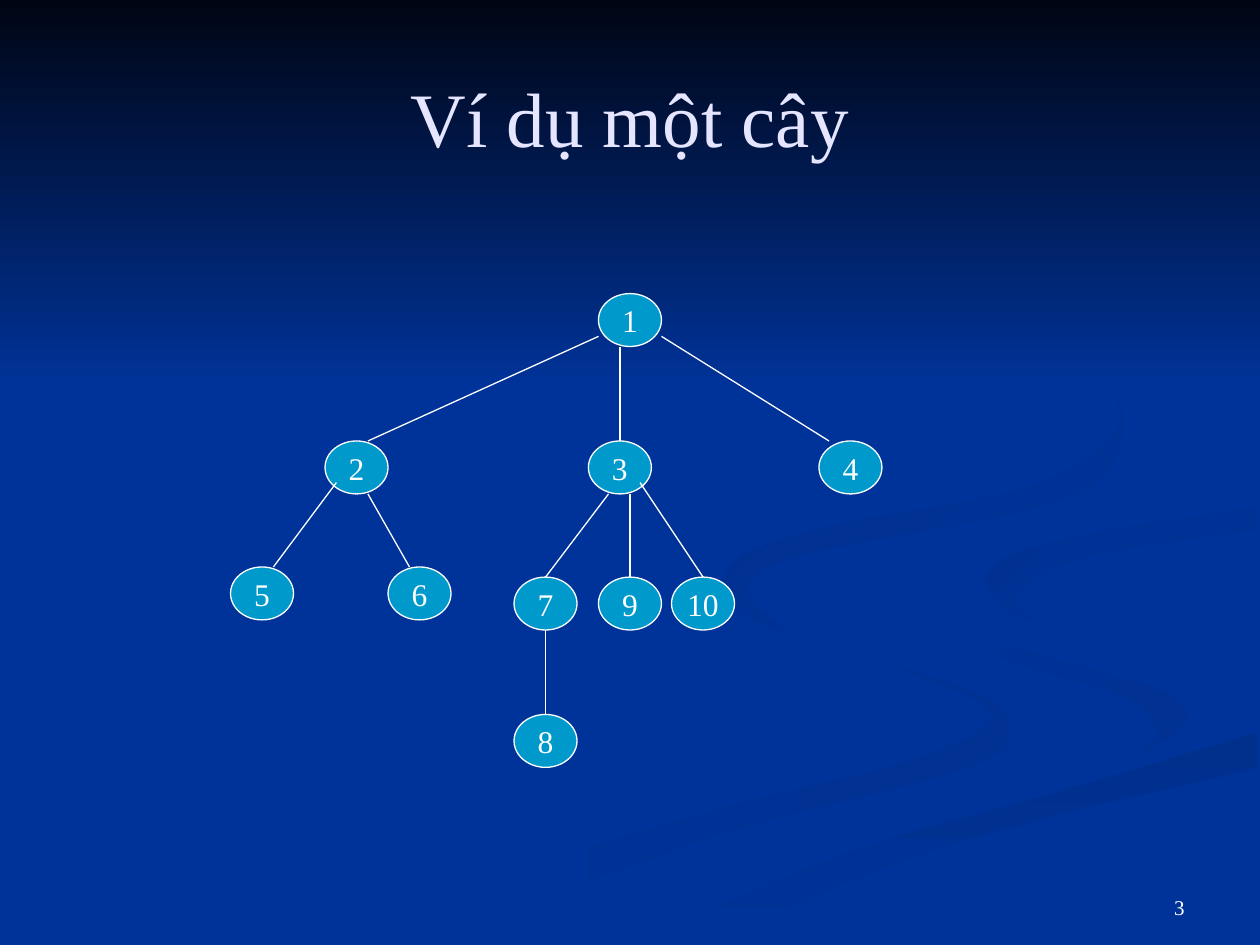
from dataclasses import dataclass

from lxml import etree
from pptx import Presentation
from pptx.dml.color import RGBColor
from pptx.enum.shapes import MSO_CONNECTOR, MSO_SHAPE
from pptx.enum.text import MSO_ANCHOR, PP_ALIGN
from pptx.oxml.ns import qn
from pptx.util import Inches, Pt

OVAL, RECTANGLE = MSO_SHAPE.OVAL, MSO_SHAPE.RECTANGLE
STRAIGHT = MSO_CONNECTOR.STRAIGHT
MIDDLE, BOTTOM = MSO_ANCHOR.MIDDLE, MSO_ANCHOR.BOTTOM
CENTER, RIGHT = PP_ALIGN.CENTER, PP_ALIGN.RIGHT
TOP_SITE = 0


@dataclass(frozen=True)
class Theme:
    font: str = "Times New Roman"
    background: str = "003399"
    night: str = "000514"
    title: str = "E5E5FF"
    white: str = "FFFFFF"
    node: str = "0099CC"
    title_size: int = 44
    node_size: int = 18
    number_size: int = 12
    line_width: float = 0.75


@dataclass(frozen=True)
class Ribbon:
    """Smooth sides in hundredths of an inch, meeting at corners."""
    start: str
    end: str
    angle: int
    sides: tuple


@dataclass(frozen=True)
class Node:
    center: float
    top: float


@dataclass(frozen=True)
class Edge:
    """Offsets run from the top centre of the parent and of the child."""
    parent: int
    child: int
    start_x: float
    start_y: float
    end_x: float = 0


THEME = Theme()
NODE_WIDTH, NODE_HEIGHT = 0.5, 0.42
CURVE_STEPS = 6

RIBBONS = [
    Ribbon("003399", "003193", 0, (
        ((575, 459), (614, 496), (682, 519), (781, 553), (800, 581), (769, 609),
         (594, 656), (431, 714), (361, 749)),
        ((300, 749), (417, 690), (579, 639), (727, 602), (786, 566), (697, 525),
         (611, 499), (570, 472), (575, 459)))),
    Ribbon("003399", "003193", 45, (
        ((724, 464), (745, 490), (811, 515), (905, 540), (943, 570), (894, 605)),
        ((894, 605), (918, 581), (892, 553), (815, 530), (746, 500), (724, 464)))),
    Ribbon("002F8C", "003399", 90, (
        ((571, 749), (649, 710), (785, 661), (998, 609)),
        ((998, 581), (867, 620), (696, 669), (599, 706), (503, 749)))),
    Ribbon("003399", "003399", 0, (
        ((999, 387), (874, 408), (755, 432), (725, 464), (745, 490), (812, 515),
         (920, 547), (943, 570), (911, 600), (743, 643), (619, 684), (477, 749)),
        ((503, 749), (599, 706), (696, 669), (868, 620), (999, 581)),
        ((999, 538), (904, 519), (817, 492), (781, 463), (800, 442), (865, 424),
         (999, 402)))),
    Ribbon("003091", "003399", 45, (
        ((781, 460), (797, 483), (826, 496)),
        ((826, 496), (805, 474), (843, 448), (896, 435), (998, 420)),
        ((998, 402), (865, 424), (799, 442), (781, 460)))),
    Ribbon("002F8E", "003399", 45, (
        ((762, 233), (843, 275), (890, 324), (876, 378), (807, 407), (683, 430),
         (614, 448), (593, 470), (622, 500)),
        ((622, 500), (580, 474), (589, 441), (676, 414), (818, 386), (889, 335),
         (846, 279), (762, 233)))),
]

NODES = {
    1: Node(5, 2.33),
    2: Node(2.83, 3.5), 3: Node(4.92, 3.5), 4: Node(6.75, 3.5),
    5: Node(2.08, 4.5), 6: Node(3.33, 4.5),
    7: Node(4.33, 4.58), 9: Node(5, 4.58), 10: Node(5.58, 4.58),
    8: Node(4.33, 5.67),
}

EDGES = [
    Edge(1, 2, -0.25, 0.34, 0.09), Edge(1, 3, -0.08, 0.42), Edge(1, 4, 0.25, 0.34, -0.17),
    Edge(2, 5, -0.16, 0.33, 0.09), Edge(2, 6, 0.09, 0.42, -0.08),
    Edge(3, 7, -0.09, 0.42), Edge(3, 9, 0.08, 0.42), Edge(3, 10, 0.16, 0.33),
    Edge(7, 8, 0, 0.42),
]


def rgb(value: str) -> RGBColor:
    return RGBColor.from_string(value)


def smooth(side: tuple) -> list:
    """Sample a Catmull-Rom curve through the points of one side."""
    padded = (side[0], *side, side[-1])
    samples = []
    for before, first, second, after in zip(padded, padded[1:], padded[2:], padded[3:]):
        for step in range(CURVE_STEPS):
            t = step / CURVE_STEPS
            samples.append(tuple(
                b + (c - a) * t / 2 + (2 * a - 5 * b + 4 * c - d) * t ** 2 / 2
                + (3 * b - a - 3 * c + d) * t ** 3 / 2
                for a, b, c, d in zip(before, first, second, after)))
    return samples + [side[-1]]


def paint_gradient(shape, start: str, end: str, angle: int) -> None:
    """Fill a shape with a gradient; the angle turns clockwise."""
    shape.shadow.inherit = False
    shape.line.fill.background()
    shape.fill.gradient()
    shape.fill.gradient_angle = (360 - angle) % 360
    for stop, color, position in zip(shape.fill.gradient_stops, (start, end), (0, 1)):
        stop.color.rgb = rgb(color)
        stop.position = position


def draw_ribbon(page, ribbon: Ribbon) -> None:
    outline = [point for side in ribbon.sides for point in smooth(side)]
    builder = page.shapes.build_freeform(*outline[0], scale=Inches(0.01))
    builder.add_line_segments(outline[1:], close=True)
    paint_gradient(builder.convert_to_shape(), ribbon.start, ribbon.end, ribbon.angle)


def write_text(shape, text: str, size: int, color: str, align, anchor, wrap: bool) -> None:
    frame = shape.text_frame
    frame.word_wrap = wrap
    frame.vertical_anchor = anchor
    para = frame.paragraphs[0]
    para.text = text
    para.alignment = align
    para.font.name = THEME.font
    para.font.size = Pt(size)
    para.font.color.rgb = rgb(color)


def draw_node(page, label: int, node: Node):
    oval = page.shapes.add_shape(OVAL, Inches(node.center - NODE_WIDTH / 2), Inches(node.top),
                                 Inches(NODE_WIDTH), Inches(NODE_HEIGHT))
    oval.shadow.inherit = False
    oval.fill.solid()
    oval.fill.fore_color.rgb = rgb(THEME.node)
    oval.line.color.rgb = rgb(THEME.white)
    oval.line.width = Pt(THEME.line_width)
    write_text(oval, str(label), THEME.node_size, THEME.white, CENTER, MIDDLE, False)
    return oval


def draw_edge(page, edge: Edge, ovals: dict) -> None:
    parent, child = NODES[edge.parent], NODES[edge.child]
    line = page.shapes.add_connector(
        STRAIGHT, Inches(parent.center + edge.start_x), Inches(parent.top + edge.start_y),
        Inches(child.center + edge.end_x), Inches(child.top))
    if edge.end_x == 0:
        line.end_connect(ovals[edge.child], TOP_SITE)
    line.line.color.rgb = rgb(THEME.white)
    line.line.width = Pt(THEME.line_width)
    etree.SubElement(line._element.spPr, qn("a:effectLst"))


def main() -> None:
    deck = Presentation()
    deck.slide_width, deck.slide_height = Inches(10), Inches(7.5)
    page = deck.slides.add_slide(deck.slide_layouts[6])

    # Background with ribbons and a dark sky
    page.background.fill.solid()
    page.background.fill.fore_color.rgb = rgb(THEME.background)
    for ribbon in RIBBONS:
        draw_ribbon(page, ribbon)
    sky = page.shapes.add_shape(RECTANGLE, 0, 0, deck.slide_width, Inches(3.08))
    paint_gradient(sky, THEME.night, THEME.background, 90)

    # Page number and title
    number = page.shapes.add_textbox(Inches(7.17), Inches(6.83), Inches(2.33), Inches(0.52))
    write_text(number, "3", THEME.number_size, THEME.white, RIGHT, BOTTOM, True)
    title = page.shapes.add_textbox(Inches(0.5), Inches(0.3), Inches(9), Inches(1.25))
    write_text(title, "Ví dụ một cây", THEME.title_size, THEME.title, CENTER, MIDDLE, True)

    # Tree
    ovals = {label: draw_node(page, label, node) for label, node in NODES.items()}
    for edge in EDGES:
        draw_edge(page, edge, ovals)

    deck.save("out.pptx")


if __name__ == "__main__":
    main()
